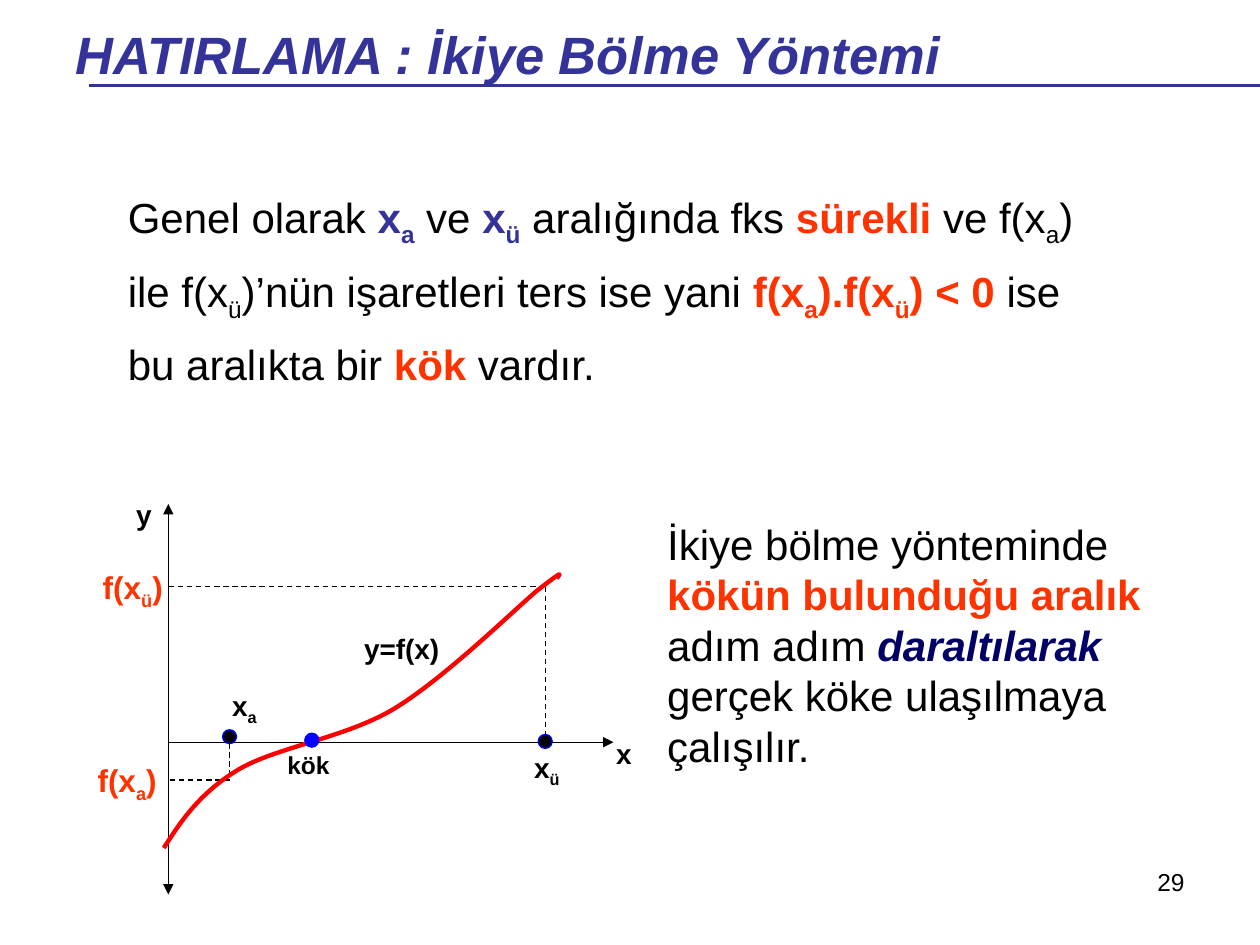
from pptx import Presentation
from pptx.dml.color import RGBColor
from pptx.enum.dml import MSO_LINE
from pptx.enum.shapes import MSO_CONNECTOR, MSO_SHAPE
from pptx.enum.text import MSO_ANCHOR, PP_ALIGN
from pptx.oxml.ns import qn
from pptx.util import Pt
from lxml import etree

COLORS = {
    "black": "000000", "indigo": "333399", "navy": "000066",
    "orange": "FF3300", "red": "FF0000", "blue": "0000FF",
}
FONT = "Arial"


class SlideBuilder:
    """Holds the style and the current slide; all lengths are points."""

    def __init__(self, slide):
        self.shapes = slide.shapes

    def color(self, name):
        return RGBColor.from_string(COLORS[name])

    def text(self, box, runs, size, inset=(7.2, 3.6), align=PP_ALIGN.LEFT,
             spacing=None):
        """Each run is (text, colour, flags): b bold, i italic, _ subscript."""
        sp = self.shapes.add_textbox(*map(Pt, box))
        tf = sp.text_frame
        tf.word_wrap = True
        tf.vertical_anchor = MSO_ANCHOR.TOP
        tf.margin_left = tf.margin_right = Pt(inset[0])
        tf.margin_top = tf.margin_bottom = Pt(inset[1])
        p = tf.paragraphs[0]
        p.alignment = align
        if spacing:
            p.line_spacing = spacing
        for content, color, flags in runs:
            r = p.add_run()
            r.text = content
            r.font.name, r.font.size = FONT, Pt(size)
            r.font.bold, r.font.italic = "b" in flags, "i" in flags
            r.font.color.rgb = self.color(color)
            if "_" in flags:
                r.font._element.set("baseline", "-25000")

    def label(self, box, base, sub="", size=16):
        runs = [(base, "black", "b")]
        if sub:
            runs.append((sub, "black", "b_"))
        self.text(box, runs, size, inset=(1.44, 0))

    def line(self, x1, y1, x2, y2, color="black", width=0.75, dashed=False,
             arrows=()):
        cn = self.shapes.add_connector(
            MSO_CONNECTOR.STRAIGHT, *map(Pt, (x1, y1, x2, y2)))
        cn.line.color.rgb = self.color(color)
        cn.line.width = Pt(width)
        if dashed:
            cn.line.dash_style = MSO_LINE.DASH
        for end in arrows:
            etree.SubElement(cn.line._get_or_add_ln(), qn(f"a:{end}"), type="triangle")
        etree.SubElement(cn._element.spPr, qn("a:effectLst"))

    def dot(self, cx, cy, fill, diameter=8):
        sp = self.shapes.add_shape(
            MSO_SHAPE.OVAL, Pt(cx - diameter / 2), Pt(cy - diameter / 2),
            Pt(diameter), Pt(diameter))
        sp.shadow.inherit = False
        sp.fill.solid()
        sp.fill.fore_color.rgb = self.color(fill)
        sp.line.color.rgb = self.color("blue")
        sp.line.width = Pt(0.75)

    def curve(self, points, color, width):
        """Start point, then three points for each Bezier segment."""
        start, *rest = [(Pt(x), Pt(y)) for x, y in points]
        builder = self.shapes.build_freeform(*start)
        builder.add_line_segments(rest, close=False)
        sp = builder.convert_to_shape()
        sp.shadow.inherit = False
        sp.fill.background()
        sp.line.color.rgb = self.color(color)
        sp.line.width = Pt(width)
        # Merge every three line segments into one cubic segment
        segments = list(sp._element.iter(qn("a:lnTo")))
        for i in range(0, len(segments), 3):
            cubic = etree.Element(qn("a:cubicBezTo"))
            segments[i].addprevious(cubic)
            for segment in segments[i:i + 3]:
                cubic.append(segment[0])
                segment.getparent().remove(segment)


def main():
    prs = Presentation()
    prs.slide_width, prs.slide_height = Pt(720), Pt(540)
    s = SlideBuilder(prs.slides.add_slide(prs.slide_layouts[6]))

    # Title, rule and page number
    s.text((516, 491.8, 168, 37.4), [("29", "black", "")], 14,
           align=PP_ALIGN.RIGHT)
    s.line(51, 49, 720, 49, "indigo", 2)
    s.text((36, 9, 582, 43.2),
           [("HATIRLAMA : İkiye Bölme Yöntemi", "indigo", "bi")], 30)

    # Condition for a root
    s.text((66, 96, 561.6, 130.3), [
        ("Genel olarak ", "black", ""),
        ("x", "indigo", "b"), ("a", "indigo", "b_"),
        (" ve ", "black", ""),
        ("x", "indigo", "b"), ("ü", "indigo", "b_"),
        (" aralığında fks ", "black", ""),
        ("sürekli", "orange", "b"),
        (" ve f(x", "black", ""), ("a", "black", "_"),
        (") ile f(x", "black", ""), ("ü", "black", "_"),
        (")’nün işaretleri ters ise yani ", "black", ""),
        ("f(x", "orange", "b"), ("a", "orange", "b_"),
        (").f(x", "orange", "b"), ("ü", "orange", "b_"),
        (") < 0", "orange", "b"),
        (" ise bu aralıkta bir ", "black", ""),
        ("kök", "orange", "b"),
        (" vardır.", "black", ""),
    ], 24, spacing=1.3)

    # Explanation beside the graph
    s.text((374.2, 292.7, 329, 151.2), [
        ("İkiye bölme yönteminde ", "black", ""),
        ("kökün bulunduğu aralık", "orange", "b"),
        (" adım adım ", "black", ""),
        ("daraltılarak", "navy", "bi"),
        (" gerçek köke ulaşılmaya çalışılır.", "black", ""),
    ], 24)

    # Axes
    axis_x, axis_y = 96.2, 424.1
    s.line(axis_x, axis_y, 350.6, axis_y, arrows=["tailEnd"])
    s.line(axis_x, 288, axis_x, 511.2, arrows=["headEnd", "tailEnd"])

    # Guide lines to the interval ends
    lower_x, upper_x = 131.2, 311.6
    lower_y, upper_y = 445.7, 335.2
    s.line(lower_x, 424.8, lower_x, 444.2, dashed=True)
    s.line(upper_x, upper_y, upper_x, 422.6, dashed=True)
    s.line(lower_x, lower_y, axis_x, lower_y, dashed=True)
    s.line(306, upper_y, axis_x, upper_y, dashed=True)

    # Function curve
    s.curve([
        (93.6, 484.6),
        (103.7, 468.7), (114.5, 452.9), (136.1, 439.9),
        (157.7, 427), (196.6, 421.9), (224.6, 405.4),
        (253.4, 388.1), (291.6, 350.6), (306.7, 337.7),
        (322.6, 325.4), (320.4, 327.6), (318.2, 330.5),
    ], "red", 2.5)

    # Root and interval ends
    s.dot(178.2, 423, "blue")
    s.dot(lower_x, 421, "black")
    s.dot(upper_x, 423.7, "black")

    # Graph labels
    s.label((76.3, 284.4, 23.8, 19.4), "y")
    s.label((350.6, 420.9, 23.8, 19.4), "x")
    s.label((206.6, 360.7, 65.5, 19.4), "y=f(x)")
    s.label((162.7, 428.4, 51.1, 16.6), "kök", size=14)
    s.label((131.2, 393.5, 35.3, 21.6), "x", "a")
    s.label((303.8, 428.7, 33.1, 21.6), "x", "ü")

    # Function values on the vertical axis
    for left, top, sub in ((48.7, 431.6, "a"), (51.6, 321.1, "ü")):
        s.text((left, top, 56, 31.7),
               [("f(x", "orange", "b"), (sub, "orange", "b_"),
                (")", "orange", "b")], 18)

    prs.save("out.pptx")


if __name__ == "__main__":
    main()
